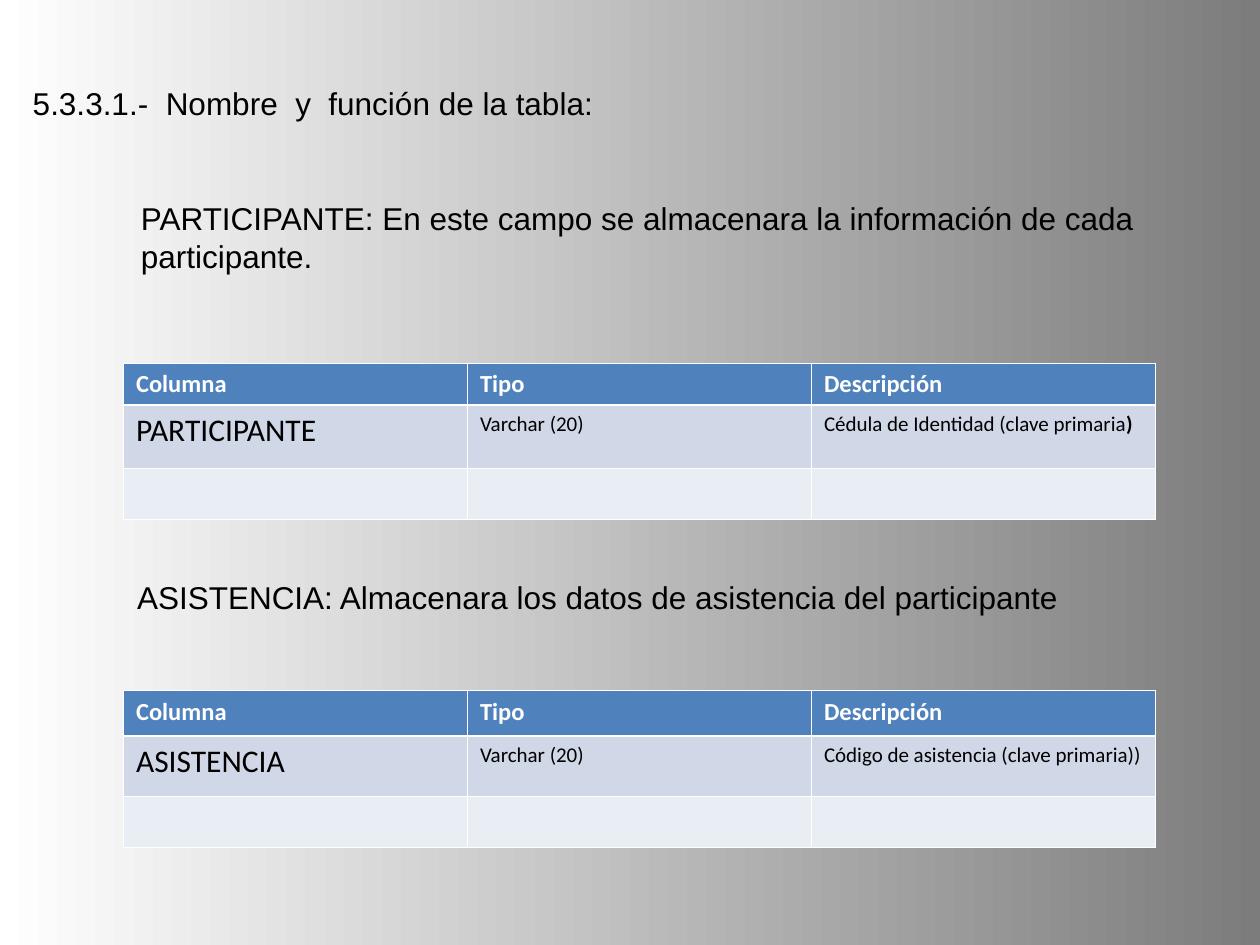
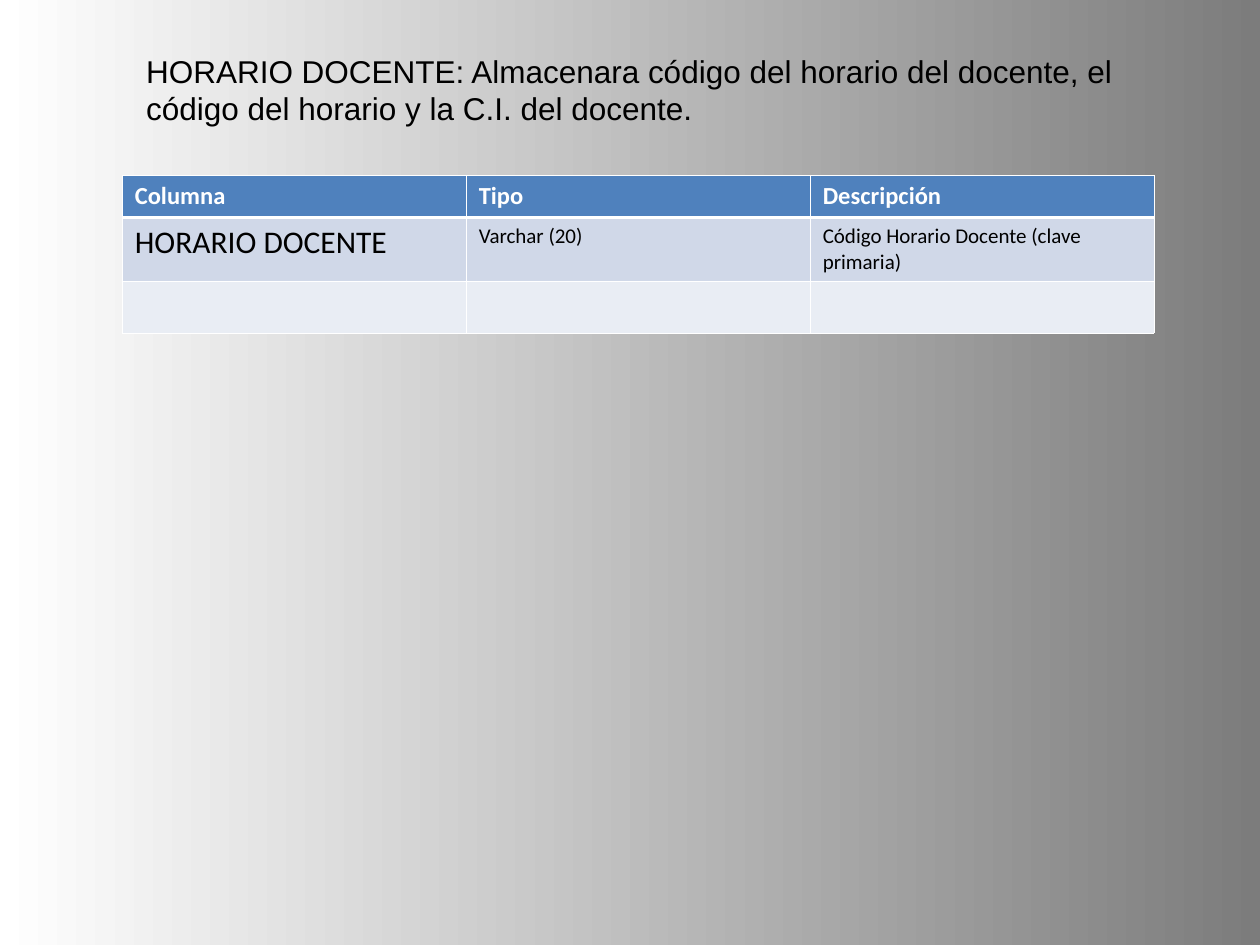
import dataclasses

import lxml.etree
import pptx
import pptx.dml.color
import pptx.enum.text
import pptx.oxml.ns
import pptx.util

PX = 9144


@dataclasses.dataclass(frozen=True)
class Theme:
    """Colours, fonts and type sizes shared by the slides."""
    black: str = "000000"
    white: str = "FFFFFF"
    grey: str = "7C7C7C"
    head: str = "4F81BD"
    body: str = "D0D8E8"
    pale: str = "E9EDF4"
    text: str = "Arial"
    grid: str = "Calibri"
    large: int = 18
    label: int = 14
    small: int = 12
    thin: float = 0.45
    thick: float = 1.47
    gap: int = 500


T = Theme()
HEADS = ("Columna", "Tipo", "Descripción")
SIZES = (T.large, T.small, T.small)
COL = 273


def rgb(code):
    """Turn a hex code into a colour."""
    return pptx.dml.color.RGBColor.from_string(code)


def span(*box):
    """Turn px lengths into EMU."""
    return [pptx.util.Emu(n * PX) for n in box]


def add_run(para, text, face, size, color, bold=False):
    """Add one styled run to a paragraph."""
    run = para.add_run()
    run.text = text
    font = run.font
    font.name, font.size, font.bold = face, pptx.util.Pt(size), bold
    font.color.rgb = rgb(color)
    return run


def fill_text(shape, box, words):
    """Place a text shape and write its words, with wide gaps between parts."""
    shape.left, shape.top, shape.width, shape.height = span(*box)
    frame = shape.text_frame
    frame.word_wrap = True
    frame.auto_size = pptx.enum.text.MSO_AUTO_SIZE.NONE
    frame.vertical_anchor = pptx.enum.text.MSO_ANCHOR.TOP
    para = frame.paragraphs[0]
    para.alignment = pptx.enum.text.PP_ALIGN.LEFT
    for i, part in enumerate(words):
        if i:
            gap = add_run(para, " ", T.text, T.large, T.black)
            gap.font._element.set("spc", str(T.gap))
        add_run(para, part, T.text, T.large, T.black)


def add_note(slide, box, text):
    """Add a text box that introduces a table."""
    fill_text(slide.shapes.add_textbox(*span(*box)), box, [text])


def set_edges(cell, top, bottom):
    """Draw the four white borders of a cell."""
    props = cell._tc.get_or_add_tcPr()
    qn = pptx.oxml.ns.qn
    for side, width in zip("LRTB", (T.thin, T.thin, top, bottom)):
        line = lxml.etree.SubElement(props, qn(f"a:ln{side}"), w=str(pptx.util.Pt(width)))
        solid = lxml.etree.SubElement(line, qn("a:solidFill"))
        lxml.etree.SubElement(solid, qn("a:srgbClr"), val=T.white)


def add_grid(slide, left, top, rows, name, note):
    """Add a field table with a header, one entry and an empty row."""
    box = span(left, top, COL * len(HEADS), sum(rows))
    table = slide.shapes.add_table(len(rows), len(HEADS), *box).table
    table.horz_banding = False
    for col in table.columns:
        col.width = pptx.util.Emu(COL * PX)
    edges = ((T.thin, T.thick), (T.thick, T.thin), (T.thin, T.thin))
    for r, (high, fill, edge) in enumerate(zip(rows, (T.head, T.body, T.pale), edges)):
        table.rows[r].height = pptx.util.Emu(high * PX)
        for cell in table.rows[r].cells:
            set_edges(cell, *edge)
            cell.fill.solid()
            cell.fill.fore_color.rgb = rgb(fill)
    entry = ([(name, False)], [("Varchar (20)", False)], note)
    for c, (head, runs, size) in enumerate(zip(HEADS, entry, SIZES)):
        para = table.cell(0, c).text_frame.paragraphs[0]
        add_run(para, head, T.grid, T.label, T.white, True)
        para = table.cell(1, c).text_frame.paragraphs[0]
        for text, bold in runs:
            add_run(para, text, T.grid, size, T.black, bold)


def set_back(master):
    """Give the master its white to grey gradient."""
    fill = master.background.fill
    fill.gradient()
    fill.gradient_angle = 0
    for stop, code in zip(fill.gradient_stops, (T.white, T.grey)):
        stop.color.rgb = rgb(code)


def add_slide(deck, box, words):
    """Add a title-only slide with its title placed."""
    slide = deck.slides.add_slide(deck.slide_layouts[5])
    fill_text(slide.shapes.title, box, words)
    return slide


def main():
    """Build and save the slides."""
    deck = pptx.Presentation()
    deck.slide_width, deck.slide_height = span(1000, 750)
    set_back(deck.slide_master)

    slide = add_slide(deck, (16, 62, 984, 40),
                      ["5.3.3.1.-", "Nombre", "y", "función de la tabla:"])
    add_note(slide, (102, 153, 812, 70),
             "PARTICIPANTE: En este campo se almacenara la información de cada participante.")
    add_grid(slide, 98, 288, (33, 50, 40), "PARTICIPANTE",
             [("Cédula de Identidad (clave primaria", False), (")", True)])
    add_note(slide, (99, 454, 813, 40),
             "ASISTENCIA: Almacenara los datos de asistencia del participante")
    add_grid(slide, 98, 548, (36, 48, 40), "ASISTENCIA",
             [("Código de asistencia (clave primaria))", False)])

    slide = add_slide(deck, (106, 36, 811, 70),
                      ["HORARIO DOCENTE: Almacenara código del horario del docente, "
                       "el código del horario y la C.I. del docente."])
    add_grid(slide, 97, 139, (33, 50, 41), "HORARIO DOCENTE",
             [("Código Horario Docente (clave primaria)", False)])
    deck.save("out.pptx")


if __name__ == "__main__":
    main()
